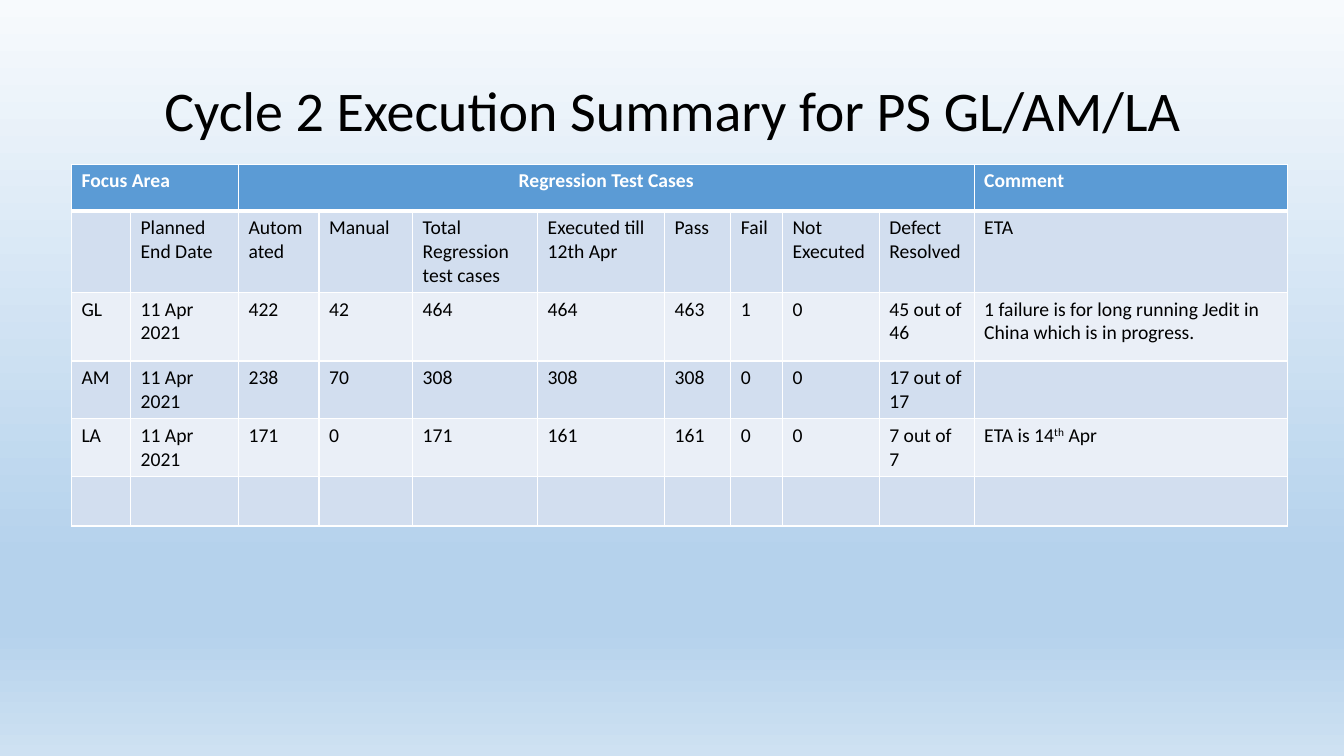
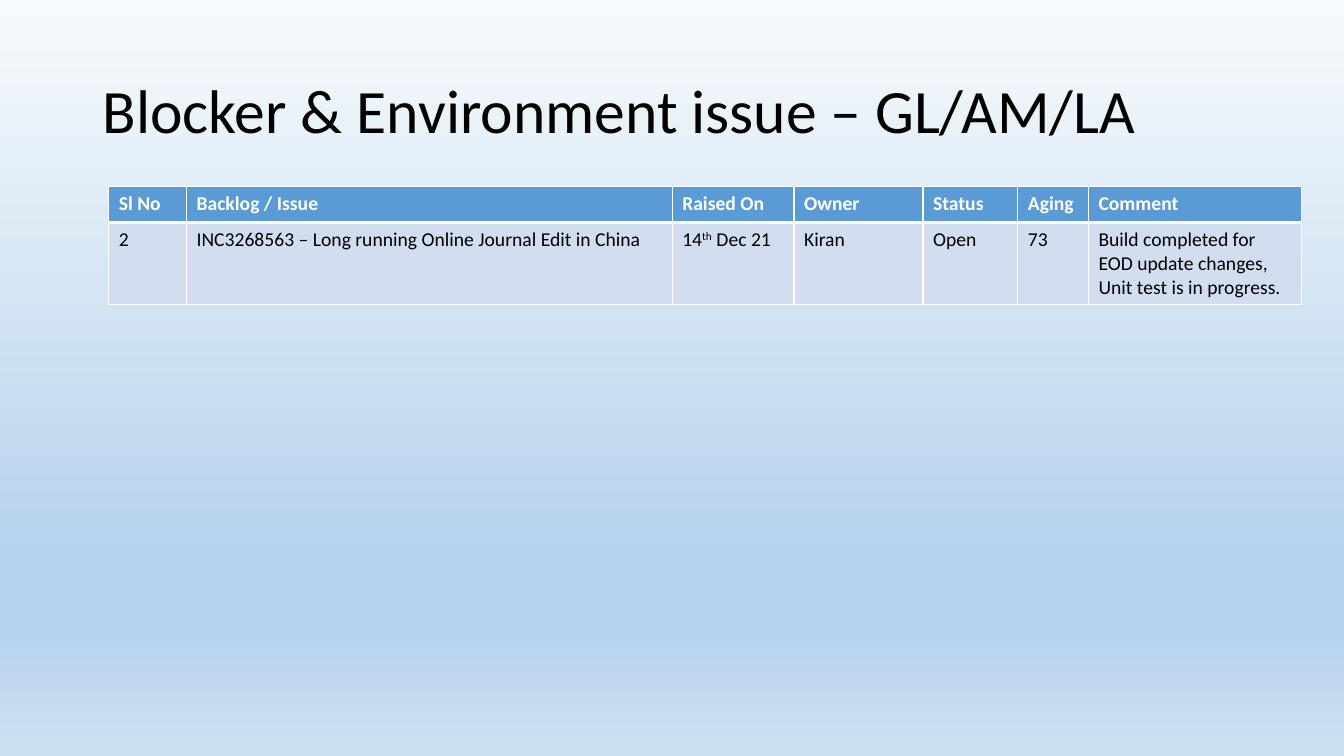
import copy
import pptx
import pptx.util
import pptx.dml.color
import pptx.enum.text
import pptx.oxml
import pptx.oxml.ns

Cm = pptx.util.Cm
Pt = pptx.util.Pt
qn = pptx.oxml.ns.qn
Align = pptx.enum.text.PP_ALIGN


def color(code):
    return pptx.dml.color.RGBColor.from_string(code)


class Deck:
    font = "Calibri"
    ink = "000000"
    white = "FFFFFF"
    head = "5B9BD5"
    bands = ("EAEFF7", "D2DEEF")
    sky = ((0, "F7FAFD"), (0.74, "B5D2EC"), (0.83, "B5D2EC"), (1, "CEE1F2"))

    def __init__(self):
        self.show = pptx.Presentation()
        self.show.slide_width = Cm(33.87)
        self.show.slide_height = Cm(19.05)
        self.slide = None
        self.paint()

    def paint(self):
        master = self.show.slide_master
        fill = master.background.fill
        fill.gradient()
        fill.gradient_angle = 270
        stops = next(master.element.iter(qn("a:gsLst")))
        for _ in range(len(self.sky) - len(stops)):
            stops.append(copy.deepcopy(stops[0]))
        for stop, (place, code) in zip(fill.gradient_stops, self.sky):
            stop.position = place
            stop.color.rgb = color(code)

    def style(self, para, size, code, bold=False):
        para.font.name = self.font
        para.font.size = Pt(size)
        para.font.bold = bold
        para.font.color.rgb = color(code)

    def page(self, text, size, align):
        self.slide = self.show.slides.add_slide(self.show.slide_layouts[5])
        title = self.slide.shapes.title
        title.left, title.top = Cm(2.34), Cm(1.02)
        title.width, title.height = Cm(29.21), Cm(3.68)
        frame = title.text_frame
        frame.text = text
        frame.auto_size = pptx.enum.text.MSO_AUTO_SIZE.NONE
        frame.vertical_anchor = pptx.enum.text.MSO_ANCHOR.MIDDLE
        para = frame.paragraphs[0]
        para.alignment = align
        para.line_spacing = 0.9
        self.style(para, size, self.ink)

    def border(self, cell, row):
        props = cell._tc.get_or_add_tcPr()
        widths = {"L": 1, "R": 1, "T": 3 if row == 1 else 1, "B": 3 if row == 0 else 1}
        for side, width in widths.items():
            props.append(pptx.oxml.parse_xml(
                f'<a:ln{side} {pptx.oxml.ns.nsdecls("a")} w="{Pt(width)}">'
                f'<a:solidFill><a:srgbClr val="{self.white}"/></a:solidFill></a:ln{side}>'))

    def label(self, cell, text, row):
        para = cell.text_frame.paragraphs[0]
        self.style(para, 14, self.ink if row else self.white, row == 0)
        for spot, part in enumerate(text.split("^")):
            if part:
                run = para.add_run()
                run.text = part
                if spot % 2:
                    run.font._element.set("baseline", "30000")

    def table(self, left, top, cols, rows, data, spans=()):
        grid = self.slide.shapes.add_table(
            len(rows), len(cols), Cm(left), Cm(top), Cm(sum(cols)), Cm(sum(rows))).table
        for col, width in zip(grid.columns, cols):
            col.width = Cm(width)
        for row, height in zip(grid.rows, rows):
            row.height = Cm(height)
        for row, line in enumerate(data):
            for col, text in enumerate(line):
                cell = grid.cell(row, col)
                self.border(cell, row)
                cell.fill.solid()
                cell.fill.fore_color.rgb = color(self.bands[row % 2] if row else self.head)
                self.label(cell, text, row)
        for first, last in spans:
            grid.cell(0, first).merge(grid.cell(0, last))
        return grid


deck = Deck()

deck.page("Cycle 2 Execution Summary for PS GL/AM/LA", 40, Align.CENTER)
tests = deck.table(
    1.8, 4.14,
    (1.49, 2.72, 2.03, 2.36, 3.15, 3.2, 1.67, 1.3, 2.44, 2.39, 7.9),
    (1.17, 1.73, 1.73, 1.24, 1.24, 1.24),
    (
        ("Focus Area", "", "Regression Test Cases", *[""] * 7, "Comment"),
        ("", "Planned End Date", "Automated", "Manual", "Total Regression test cases",
         "Executed till 12th Apr", "Pass", "Fail", "Not Executed", "Defect Resolved", "ETA"),
        ("GL", "11 Apr 2021", "422", "42", "464", "464", "463", "1", "0", "45 out of 46",
         "1 failure is for long running Jedit in China which is in progress."),
        ("AM", "11 Apr 2021", "238", "70", "308", "308", "308", "0", "0", "17 out of 17", ""),
        ("LA", "11 Apr 2021", "171", "0", "171", "161", "161", "0", "0", "7 out of 7",
         "ETA is 14^th^ Apr"),
        [""] * 11,
    ),
    ((0, 1), (2, 9)))
tests.cell(0, 2).text_frame.paragraphs[0].alignment = Align.CENTER

deck.page("Blocker & Environment issue – GL/AM/LA", 44, Align.LEFT)
deck.table(
    2.74, 4.7,
    (1.96, 12.24, 3.07, 3.25, 2.39, 1.78, 5.36),
    (0.91, 1.04),
    (
        ("Sl No", "Backlog / Issue", "Raised On", "Owner", "Status", "Aging", "Comment"),
        ("2", "INC3268563 – Long running Online Journal Edit in China", "14^th^ Dec 21",
         "Kiran", "Open", "73",
         "Build completed for EOD update changes, Unit test is in progress."),
    ))

deck.show.save("out.pptx")
